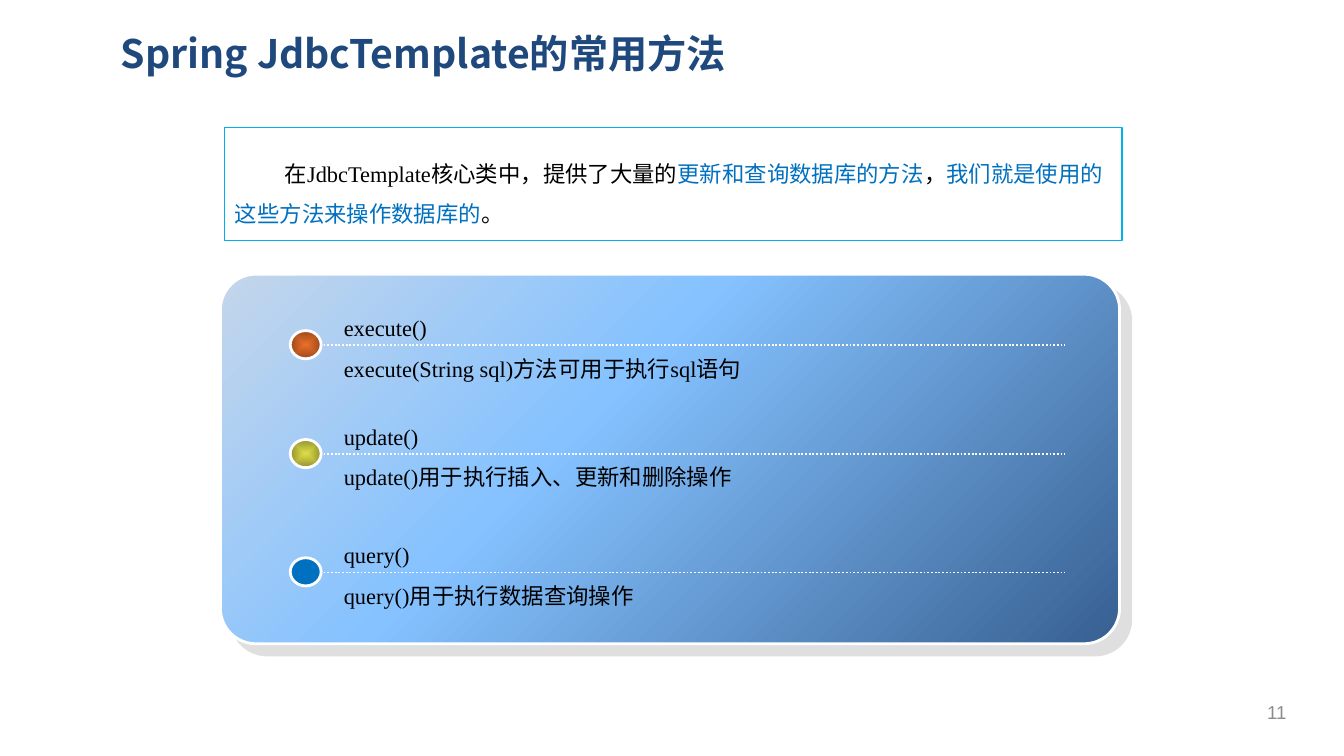
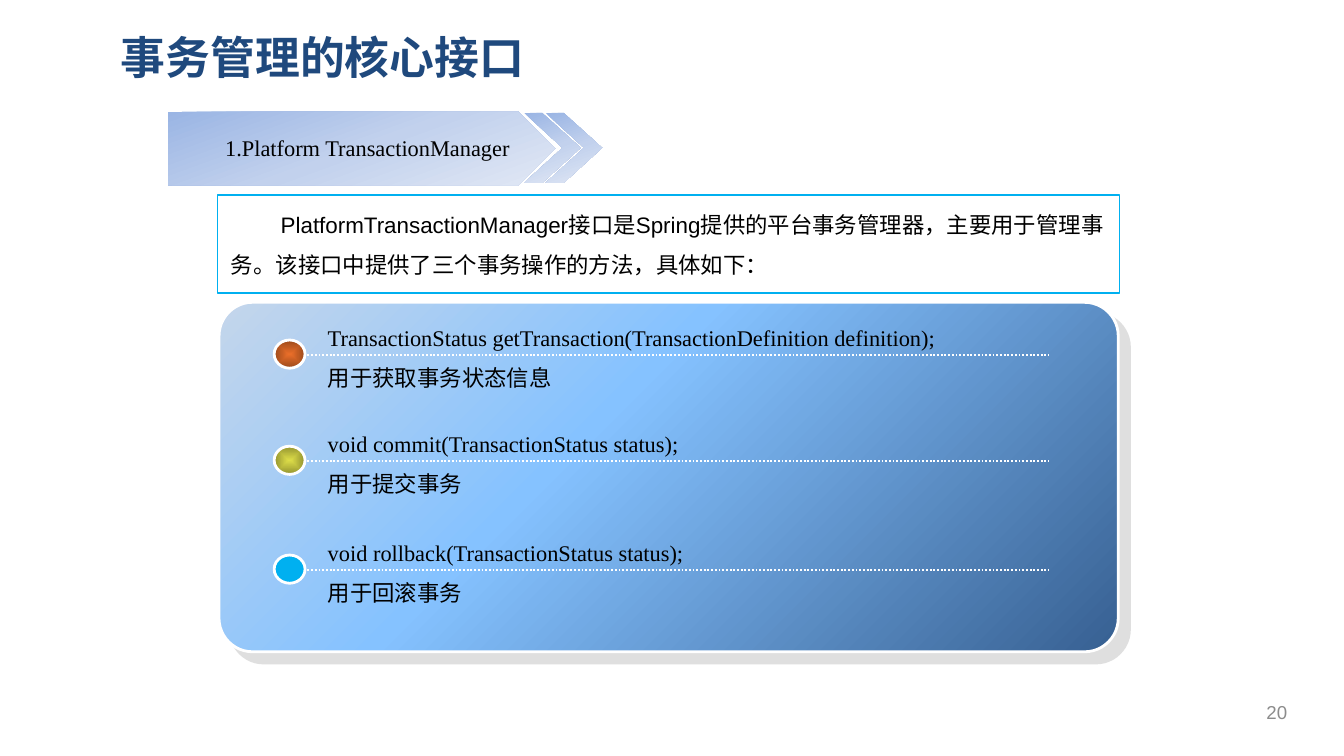
from pptx import Presentation
from pptx.dml.color import RGBColor
from pptx.enum.dml import MSO_LINE
from pptx.enum.shapes import MSO_CONNECTOR, MSO_SHAPE
from pptx.enum.text import MSO_ANCHOR, PP_ALIGN
from pptx.oxml import parse_xml
from pptx.oxml.ns import nsdecls, qn
from pptx.util import Inches, Pt
from lxml.etree import SubElement

# Colours
NAVY = RGBColor(0x1F, 0x49, 0x7D)
BLACK = RGBColor(0, 0, 0)
WHITE = RGBColor(255, 255, 255)
GREY = RGBColor(0x8C, 0x8C, 0x8C)
BLUE = RGBColor(0x00, 0x70, 0xC0)
SKY = RGBColor(0x00, 0xB0, 0xF0)
SHADE = RGBColor(0xC0, 0xC0, 0xC0)
PANEL = [(0, RGBColor(0xC4, 0xD6, 0xEB)), (40, RGBColor(0x85, 0xC2, 0xFF)),
         (100, RGBColor(0x37, 0x60, 0x92))]
RIBBON = [(0, RGBColor(0x9A, 0xB5, 0xE4)), (50, RGBColor(0xC2, 0xD1, 0xED)),
          (100, RGBColor(0xE1, 0xE8, 0xF5))]
RED = [(0, RGBColor(0xE9, 0x6E, 0x29)), (100, RGBColor(0x9B, 0x49, 0x1B))]
LIME = [(0, RGBColor(0xDC, 0xDC, 0x48)), (100, RGBColor(0x93, 0x93, 0x30))]

# Text formats
CJK = "Noto Sans CJK SC"
HEAD = {"name": CJK, "bold": True}
SERIF = {"name": "Times New Roman", "size": Pt(12)}
SANS = {"name": "Arial", "size": Pt(12)}
PAGE = {"name": "Arial", "size": Pt(10)}


def write(frame, lines, style, **layout):
    """Fill a text frame; each line is a list of (text, colour) runs."""
    frame.word_wrap = True
    indent = layout.pop("indent", 0)
    for i, line in enumerate(lines):
        para = frame.add_paragraph() if i else frame.paragraphs[0]
        if indent:
            para._p.get_or_add_pPr().set("indent", str(Inches(indent)))
        for key, value in layout.items():
            setattr(para, key, value)
        for text, color in line:
            run = para.add_run()
            run.text = text
            for key, value in style.items():
                setattr(run.font, key, value)
            run.font.color.rgb = color
            SubElement(run._r.get_or_add_rPr(), qn("a:ea"), typeface=CJK)


def draw(slide, kind, at, fill, line=None, width=1.5, angle=None, adj=None):
    """Add a shape; fill is a colour or gradient stops (radial without angle)."""
    shape = slide.shapes.add_shape(kind, *map(Inches, at))
    shape.shadow.inherit = False
    if adj is not None:
        shape.adjustments[0] = adj
    if isinstance(fill, list):
        shape.fill.gradient()
        stops = "".join(f'<a:gs pos="{pos * 1000}"><a:srgbClr val="{color}"/></a:gs>'
                        for pos, color in fill)
        if angle is None:
            course = ('<a:path path="shape"><a:fillToRect l="50000" t="50000" '
                      'r="50000" b="50000"/></a:path>')
        else:
            course = f'<a:lin ang="{angle * 60000}" scaled="0"/>'
        props = shape._element.spPr
        props.replace(props.find(qn("a:gradFill")), parse_xml(
            f'<a:gradFill {nsdecls("a")} rotWithShape="1"><a:gsLst>{stops}</a:gsLst>'
            f'{course}</a:gradFill>'))
    else:
        shape.fill.solid()
        shape.fill.fore_color.rgb = fill
    if line is None:
        shape.line.fill.background()
    else:
        shape.line.color.rgb = line
        shape.line.width = Pt(width)
    return shape


# Content of the two slides
DECK = [
    {"title": "Spring JdbcTemplate的常用方法", "size": 21, "page": "11",
     "frame": (1.67, 0.95, 6.68, 0.84), "intro": (1.65, 1.04, 6.68, 0.74),
     "style": SERIF,
     "text": [("在JdbcTemplate核心类中，提供了大量的", BLACK),
              ("更新和查询数据库的方法", BLUE), ("，", BLACK),
              ("我们就是使用的这些方法来操作数据库的", BLUE), ("。", BLACK)],
     "panel": (1.64, 2.04, 6.69, 2.75), "left": 2.16,
     "rows": [(2.57, RED, "execute()", "execute(String sql)方法可用于执行sql语句"),
              (3.38, LIME, "update()", "update()用于执行插入、更新和删除操作"),
              (4.26, BLUE, "query()", "query()用于执行数据查询操作")]},
    {"title": "事务管理的核心接口", "size": 24, "page": "20",
     "tag": "1.Platform TransactionManager",
     "frame": (1.62, 1.45, 6.71, 0.73), "intro": (1.62, 1.42, 6.71, 0.67),
     "style": SANS,
     "text": [("PlatformTransactionManager接口是Spring提供的平台事务管理器，"
               "主要用于管理事务。该接口中提供了三个事务操作的方法，具体如下：", BLACK)],
     "panel": (1.63, 2.25, 6.69, 2.6), "left": 2.04,
     "rows": [(2.64, RED,
               "TransactionStatus getTransaction(TransactionDefinition definition);",
               "用于获取事务状态信息"),
              (3.43, LIME, "void commit(TransactionStatus status);", "用于提交事务"),
              (4.24, SKY, "void rollback(TransactionStatus status);", "用于回滚事务")]},
]

deck = Presentation()
deck.slide_width = Inches(10)
deck.slide_height = deck.slide_width * 9 // 16

for data in DECK:
    slide = deck.slides.add_slide(deck.slide_layouts[5])
    shapes = slide.shapes

    # Title and page number
    title = shapes.title
    title.left, title.top, title.width, title.height = map(Inches, (0.83, 0.18, 8.74, 0.5))
    frame = title.text_frame
    frame.margin_left = frame.margin_right = Inches(0.07)
    frame.margin_top = frame.margin_bottom = Inches(0.04)
    frame.vertical_anchor = MSO_ANCHOR.TOP
    write(frame, [[(data["title"], NAVY)]], {**HEAD, "size": Pt(data["size"])},
          alignment=PP_ALIGN.LEFT)
    page = shapes.add_textbox(*map(Inches, (9.26, 5.15, 0.48, 0.3))).text_frame
    page.vertical_anchor = MSO_ANCHOR.MIDDLE
    write(page, [[(data["page"], GREY)]], PAGE, alignment=PP_ALIGN.CENTER)

    # Ribbon with two chevrons
    if "tag" in data:
        draw(slide, MSO_SHAPE.PENTAGON, (1.25, 0.83, 2.88, 0.55), RIBBON, angle=70)
        tag = shapes.add_textbox(*map(Inches, (1.39, 0.95, 2.69, 0.3)))
        write(tag.text_frame, [[(data["tag"], BLACK)]], SERIF, alignment=PP_ALIGN.CENTER)
        for left in (3.9, 4.06):
            draw(slide, MSO_SHAPE.CHEVRON, (left, 0.84, 0.42, 0.52), RIBBON,
                 angle=70, adj=0.68)

    # Framed introduction
    card = draw(slide, MSO_SHAPE.RECTANGLE, data["frame"], WHITE, SKY, 0.75)
    tint = card._element.spPr.find(qn("a:solidFill")).find(qn("a:srgbClr"))
    SubElement(tint, qn("a:alpha"), val="90000")
    intro = shapes.add_textbox(*map(Inches, data["intro"]))
    write(intro.text_frame, [data["text"]], data["style"], line_spacing=1.5, indent=0.37)

    # Panel with an offset shadow
    panel = draw(slide, MSO_SHAPE.ROUNDED_RECTANGLE, data["panel"], PANEL, WHITE,
                 angle=45, adj=0.096)
    panel._element.spPr.find(qn("a:effectLst")).append(parse_xml(
        f'<a:outerShdw {nsdecls("a")} blurRad="0" dist="{Pt(8.5)}" dir="2700000" '
        f'algn="ctr" rotWithShape="0"><a:srgbClr val="{SHADE}"><a:alpha val="50000"/>'
        '</a:srgbClr></a:outerShdw>'))

    # Methods: dotted rule, dot and two lines of text
    left = data["left"]
    for y, fill, name, note in data["rows"]:
        rule = shapes.add_connector(MSO_CONNECTOR.STRAIGHT, Inches(left + 0.22), Inches(y),
                                    Inches(left + 5.76), Inches(y))
        rule.line.color.rgb = WHITE
        rule.line.width = Pt(1)
        rule.line.dash_style = MSO_LINE.ROUND_DOT
        SubElement(rule._element.spPr, qn("a:effectLst"))
        draw(slide, MSO_SHAPE.OVAL, (left, y - 0.11, 0.23, 0.21), fill, WHITE)
        box = shapes.add_textbox(*map(Inches, (left + 0.3, y - 0.38, 5.48, 0.67)))
        write(box.text_frame, [[(name, BLACK)], [(note, BLACK)]], SERIF, line_spacing=1.5)

deck.save("out.pptx")
